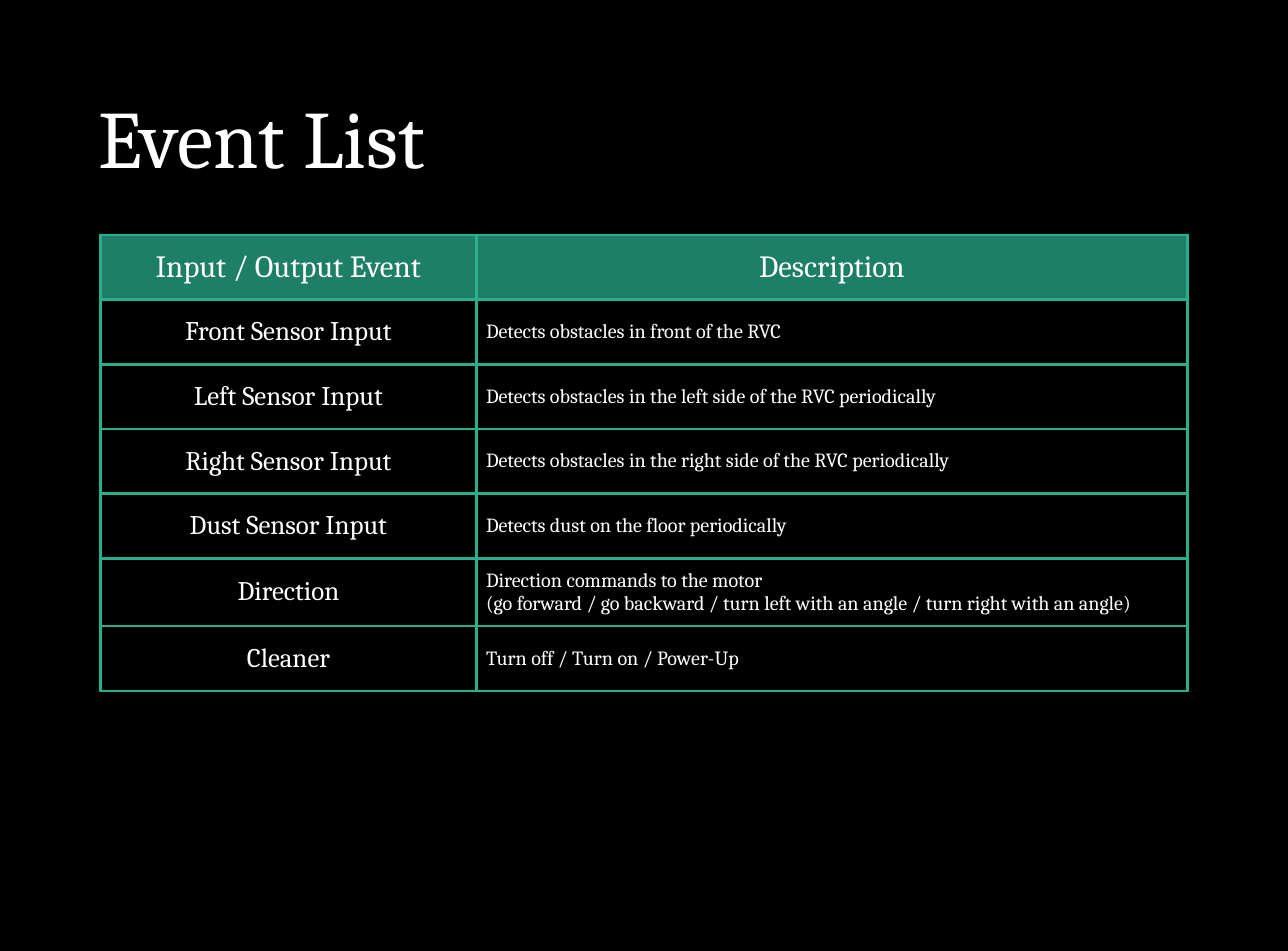
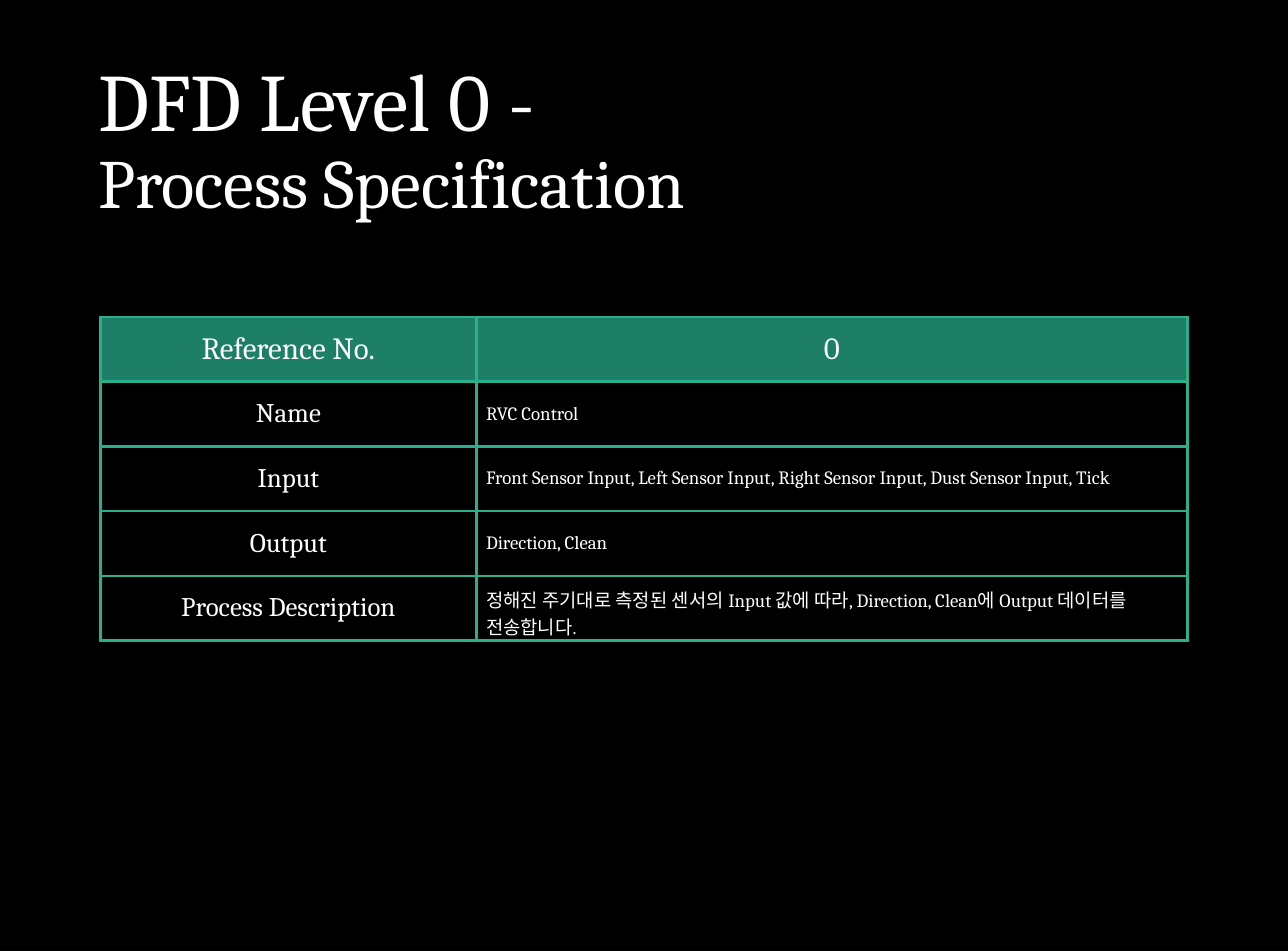
"""Build two dark slides, each with a title and a two-column table."""
from dataclasses import dataclass
from typing import Any

import pptx
import pptx.dml.color
import pptx.enum.text
import pptx.oxml
import pptx.oxml.ns
import pptx.util
from pptx.util import Inches, Pt

ALIGN = pptx.enum.text.PP_ALIGN
MIDDLE = pptx.enum.text.MSO_ANCHOR.MIDDLE


@dataclass(frozen=True)
class Theme:
    back: str = "000000"
    ink: str = "FFFFFF"
    head: str = "1D7F66"
    rule: str = "29AF8C"
    rule_wide: float = 2.25
    font: str = "Cambria"
    title: float = 60.7
    second: float = 51.5
    head_size: float = 23
    label: float = 20


@dataclass(frozen=True)
class Page:
    title: tuple[str, ...]
    top: float
    size: float
    rows: tuple[tuple[str, str], ...]


THEME = Theme()
COLS = (3.89, 7.36)
ROW = 0.67

PAGES = (
    Page(("Event List",), 2.43, 15, (
        ("Input / Output Event", "Description"),
        ("Front Sensor Input", "Detects obstacles in front of the RVC"),
        ("Left Sensor Input", "Detects obstacles in the left side of the RVC periodically"),
        ("Right Sensor Input", "Detects obstacles in the right side of the RVC periodically"),
        ("Dust Sensor Input", "Detects dust on the floor periodically"),
        ("Direction", "Direction commands to the motor\n"
         "(go forward / go backward / turn left with an angle / turn right with an angle)"),
        ("Cleaner", "Turn off / Turn on / Power-Up"),
    )),
    Page(("DFD Level 0 -", "Process Specification"), 3.28, 14, (
        ("Reference No.", "0"),
        ("Name", "RVC Control"),
        ("Input", "Front Sensor Input, Left Sensor Input, Right Sensor Input, "
         "Dust Sensor Input, Tick"),
        ("Output", "Direction, Clean"),
        ("Process Description", "정해진 주기대로 측정된 센서의 Input 값에 따라, "
         "Direction, Clean에 Output 데이터를 전송합니다."),
    )),
)


def tint(code: str) -> pptx.dml.color.RGBColor:
    return pptx.dml.color.RGBColor.from_string(code)


def apply(item: Any, form: dict[str, Any]) -> None:
    for name, value in form.items():
        setattr(item, name, value)


def style(para: Any, size: float, form: dict[str, Any]) -> None:
    apply(para, form)
    apply(para.font, {"name": THEME.font, "size": Pt(size)})
    para.font.color.rgb = tint(THEME.ink)


def add_title(slide: Any, lines: tuple[str, ...]) -> None:
    box = slide.shapes.add_textbox(Inches(0.92), Inches(0.52), Inches(11.5), Inches(1.9))
    frame = box.text_frame
    apply(frame, {"word_wrap": True, "vertical_anchor": MIDDLE, "text": "\n".join(lines)})
    for para, size in zip(frame.paragraphs, (THEME.title, THEME.second)):
        style(para, size, {"line_spacing": 0.9})


def add_rules(cell: Any) -> None:
    props = cell._tc.get_or_add_tcPr()
    for side in "LRTB":
        props.append(pptx.oxml.parse_xml(
            f'<a:ln{side} {pptx.oxml.ns.nsdecls("a")} w="{Pt(THEME.rule_wide)}">'
            f'<a:solidFill><a:srgbClr val="{THEME.rule}"/></a:solidFill></a:ln{side}>'))


def fill_cell(cell: Any, text: str, size: float, align: Any, head: bool) -> None:
    add_rules(cell)
    if head:
        cell.fill.solid()
        cell.fill.fore_color.rgb = tint(THEME.head)
    else:
        cell.fill.background()
    apply(cell, {"text": text, "vertical_anchor": MIDDLE})
    apply(cell, {f"margin_{side}": Inches(0.1) for side in ("left", "right", "top", "bottom")})
    for para in cell.text_frame.paragraphs:
        style(para, size, {"alignment": align})


def add_grid(slide: Any, page: Page) -> None:
    count = len(page.rows)
    table = slide.shapes.add_table(
        count, len(COLS), Inches(1.04), Inches(page.top),
        Inches(sum(COLS)), Inches(ROW * count)).table
    apply(table, {"first_row": False, "horz_banding": False})
    for column, width in zip(table.columns, COLS):
        column.width = Inches(width)
    for r, texts in enumerate(page.rows):
        table.rows[r].height = Inches(ROW)
        head = r == 0
        for c, text in enumerate(texts):
            size = THEME.head_size if head else (THEME.label, page.size)[c]
            align = ALIGN.CENTER if head or c == 0 else ALIGN.LEFT
            fill_cell(table.cell(r, c), text, size, align, head)


def main() -> None:
    deck = pptx.Presentation()
    apply(deck, {"slide_width": Inches(13.33), "slide_height": Inches(9.84)})
    for page in PAGES:
        slide = deck.slides.add_slide(deck.slide_layouts[6])
        fill = slide.background.fill
        fill.solid()
        fill.fore_color.rgb = tint(THEME.back)
        add_title(slide, page.title)
        add_grid(slide, page)
    deck.save("out.pptx")


if __name__ == "__main__":
    main()
